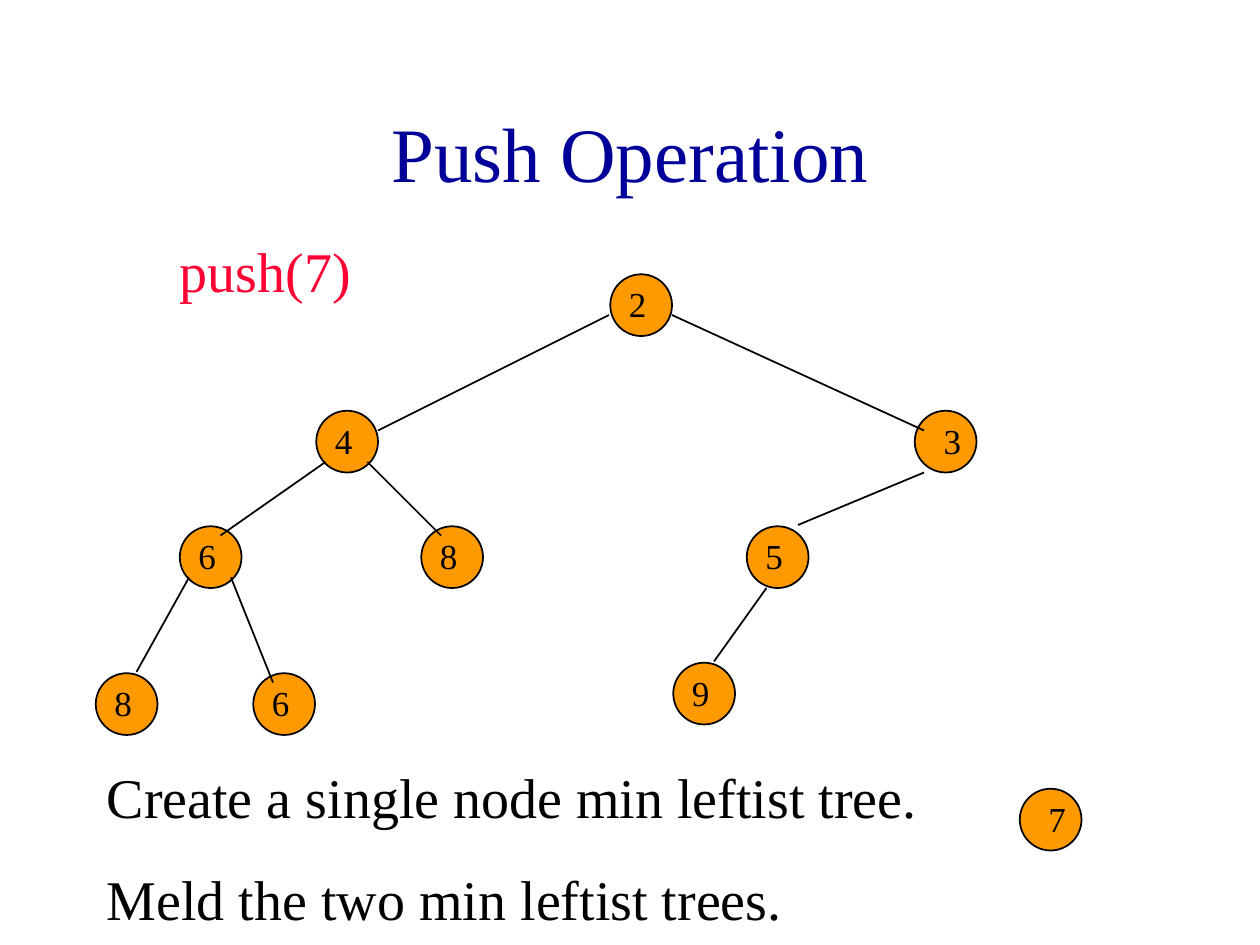
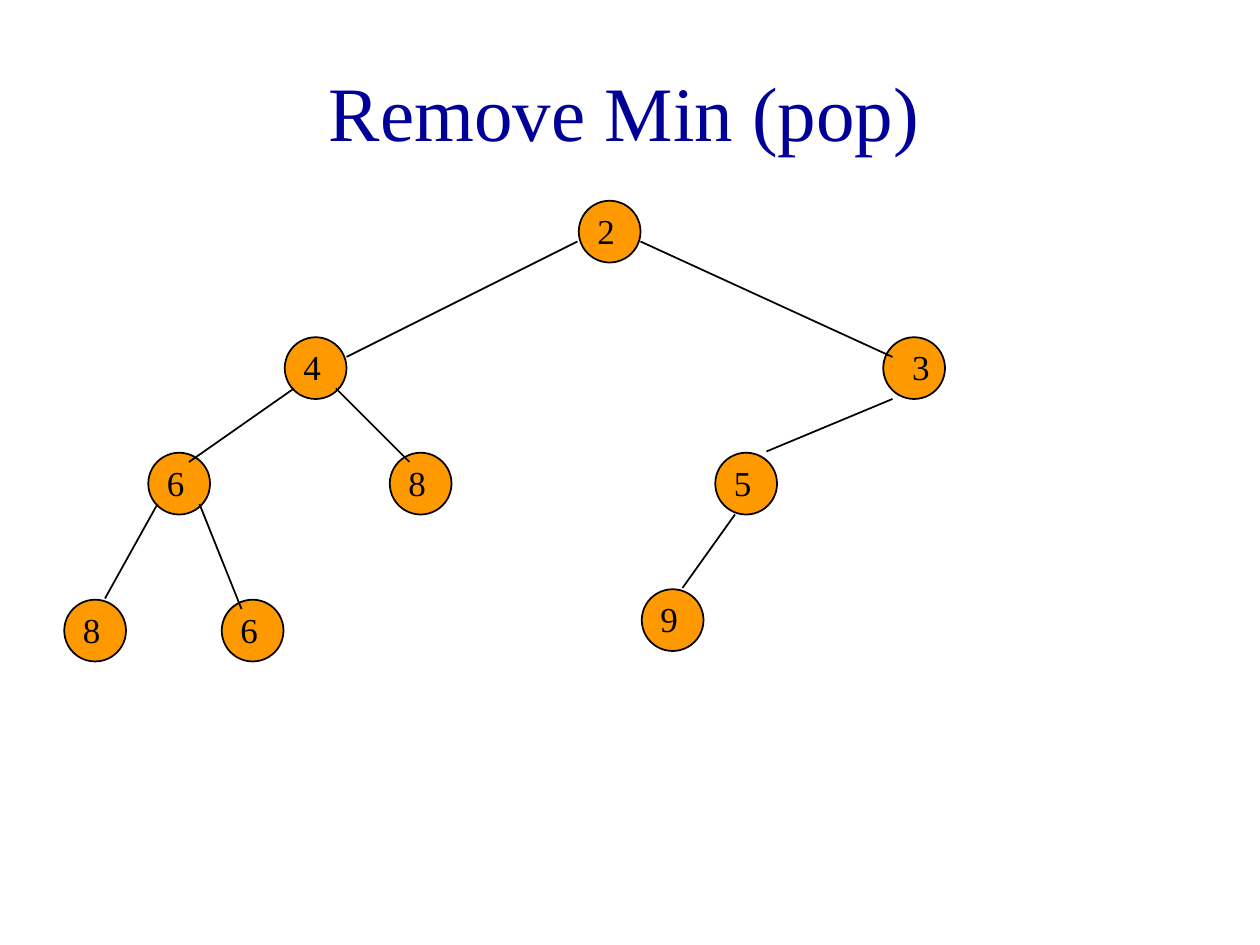
from lxml import etree
from pptx import Presentation
from pptx import util as u
from pptx.dml.color import RGBColor
from pptx.enum import shapes, text
from pptx.oxml.ns import qn

FONT = "Times New Roman"
NAVY, RED, ORANGE, BLACK, WHITE = "000099", "FF0033", "FF9900", "000000", "FFFFFF"

# Trees lie on a grid of twelfths of an inch.
CELL = 1 / 12
NODE_SIZE, NODE_INSET = 0.49, 0.01
LABEL_SIZE = (0.34, 0.43)
LABEL_SHIFT, WIDE_SHIFT, LABEL_DROP = 0.06, 0.14, 0.03

# (key, column, row, horizontal label shift)
TREE_NODES = [
    ("2", 58, 26, LABEL_SHIFT),
    ("4", 30, 39, LABEL_SHIFT), ("3", 87, 39, WIDE_SHIFT),
    ("6", 17, 50, LABEL_SHIFT), ("8", 40, 50, LABEL_SHIFT), ("5", 71, 50, LABEL_SHIFT),
    ("8", 9, 64, LABEL_SHIFT), ("6", 24, 64, LABEL_SHIFT), ("9", 64, 63, LABEL_SHIFT),
]
# (from column, from row, to column, to row)
TREE_EDGES = [
    (58, 30, 36, 41), (64, 30, 88, 41),
    (31, 44, 21, 51), (35, 44, 42, 51), (88, 45, 76, 50),
    (18, 55, 13, 64), (22, 55, 26, 65), (73, 56, 68, 63),
]
PUSHED_NODE = ("7", 97, 75, WIDE_SHIFT)

TITLE = {"size": 44, "color": NAVY, "align": text.PP_ALIGN.CENTER,
         "anchor": text.MSO_ANCHOR.MIDDLE}
CALL = {"size": 32, "color": RED}
STEP = {"size": 32, "color": BLACK, "gap": 20}
KEY = {"size": 20, "color": BLACK, "wrap": False}

SLIDES = [
    {
        "texts": [
            (["Push Operation"], (0.75, 0.58, 8.5, 1.25), TITLE),
            (["push(7)"], (1.33, 1.83, 7, 1.92), CALL),
            (["Create a single node min leftist tree.",
              "Meld the two min leftist trees."], (0.75, 6, 8.33, 1.45), STEP),
        ],
        "tree_shift": (0, 0),
        "extra_nodes": [PUSHED_NODE],
    },
    {
        "texts": [(["Remove Min (pop)"], (0.08, 0.25, 9.75, 1.25), TITLE)],
        "tree_shift": (-3, -7),
        "extra_nodes": [],
    },
]


def rgb(value):
    return RGBColor.from_string(value)


def inches(*lengths):
    return [u.Inches(length) for length in lengths]


def add_text(slide, lines, place, style):
    frame = slide.shapes.add_textbox(*inches(*place)).text_frame
    frame.word_wrap = style.get("wrap", True)
    frame.vertical_anchor = style.get("anchor", text.MSO_ANCHOR.TOP)
    for number, line in enumerate(lines):
        paragraph = frame.add_paragraph() if number else frame.paragraphs[0]
        paragraph.text = line
        paragraph.alignment = style.get("align", text.PP_ALIGN.LEFT)
        if number:
            paragraph.space_before = u.Pt(style["gap"])
        font = paragraph.runs[0].font
        for name, value in {"name": FONT, "size": u.Pt(style["size"])}.items():
            setattr(font, name, value)
        font.color.rgb = rgb(style["color"])


def outline(line):
    line.color.rgb = rgb(BLACK)
    line.width = u.Pt(1)


def add_disc(slide, column, row):
    left, top = column * CELL + NODE_INSET, row * CELL + NODE_INSET
    disc = slide.shapes.add_shape(
        shapes.MSO_SHAPE.OVAL, *inches(left, top, NODE_SIZE, NODE_SIZE))
    disc.shadow.inherit = False
    disc.fill.solid()
    disc.fill.fore_color.rgb = rgb(ORANGE)
    outline(disc.line)


def add_edge(slide, ends):
    edge = slide.shapes.add_connector(
        shapes.MSO_CONNECTOR.STRAIGHT, *inches(*(end * CELL for end in ends)))
    outline(edge.line)
    etree.SubElement(edge._element.spPr, qn("a:effectLst"))


def add_tree(slide, nodes, edges, shift):
    """Draw discs, then edges, then keys, so that keys stay on top."""
    across, down = shift
    placed = [(key, column + across, row + down, label_shift)
              for key, column, row, label_shift in nodes]
    for _, column, row, _ in placed:
        add_disc(slide, column, row)
    for x1, y1, x2, y2 in edges:
        add_edge(slide, (x1 + across, y1 + down, x2 + across, y2 + down))
    for key, column, row, label_shift in placed:
        corner = (column * CELL + label_shift, row * CELL + LABEL_DROP)
        add_text(slide, [key], corner + LABEL_SIZE, KEY)


def main():
    deck = Presentation()
    deck.slide_width, deck.slide_height = inches(10, 7.5)
    for content in SLIDES:
        slide = deck.slides.add_slide(deck.slide_layouts[6])
        slide.background.fill.solid()
        slide.background.fill.fore_color.rgb = rgb(WHITE)
        for lines, place, style in content["texts"]:
            add_text(slide, lines, place, style)
        add_tree(slide, TREE_NODES, TREE_EDGES, content["tree_shift"])
        add_tree(slide, content["extra_nodes"], [], (0, 0))
    deck.save("out.pptx")


if __name__ == "__main__":
    main()
